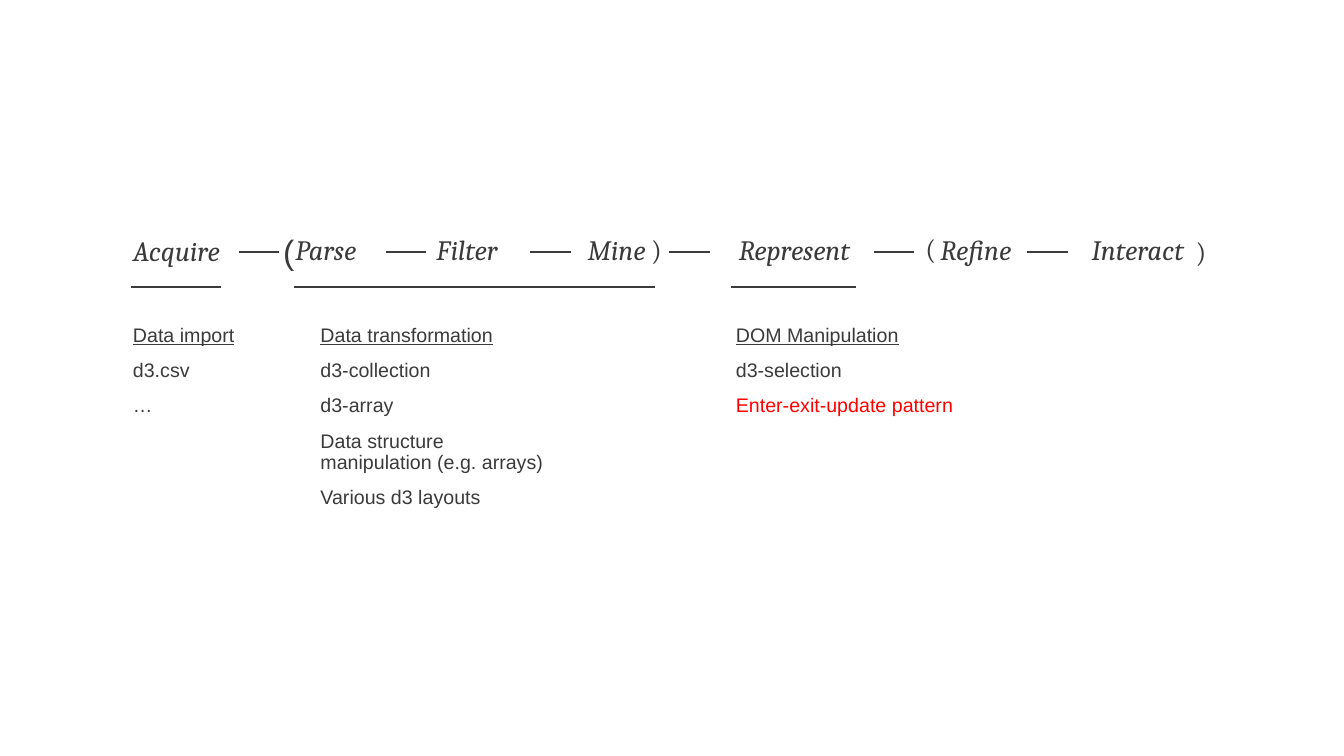
"""Build a slide that maps the data visualisation steps to parts of d3."""
from lxml import etree
from pptx import Presentation
from pptx.dml.color import RGBColor
from pptx.enum.shapes import MSO_CONNECTOR
from pptx.enum.text import MSO_ANCHOR, MSO_AUTO_SIZE, PP_ALIGN
from pptx.oxml.ns import qn
from pptx.util import Inches, Pt

STRAIGHT = MSO_CONNECTOR.STRAIGHT
TOP = MSO_ANCHOR.TOP
NO_FIT = MSO_AUTO_SIZE.NONE
LEFT = PP_ALIGN.LEFT

INK, RULE, RED = "3A3A3A", "3B3B3B", "FF0000"
STEP_TOP, STEP_H = 2.3, 0.44
DASH_Y, DASH_W, UNDERLINE_Y = 2.5, 0.4, 2.85
LIST_TOP, LIST_H = 3.18, 2.66

FIRST_STEP = ("Acquire", 1.22, 1.26)
STEPS = [
    ("Parse", 2.83, 0.91),
    ("Filter", 4.23, 0.91),
    ("Mine", 5.73, 0.91),
    ("Represent", 7.23, 2.06),
    ("Refine", 9.23, 2.06),
    ("Interact", 10.73, 2.06),
]
DASHES = [2.37, 3.83, 5.26, 6.64, 8.67, 10.19]
BRACKETS = [
    ("(", 2.71, 2.32, 24, "Arial", 0.8),
    (")", 6.36, 2.3, 20, "Cambria", 0.9),
    ("(", 9.08, 2.29, 20, "Cambria", 0.9),
    (")", 11.76, 2.32, 20, "Cambria", 0.9),
]
UNDERLINES = [(1.3, 2.19), (2.92, 6.5), (7.25, 8.49)]
LISTS = [
    (1.22, 1.79, "Data import", [("d3.csv", INK), ("…", INK)]),
    (3.08, 2.57, "Data transformation", [
        ("d3-collection", INK),
        ("d3-array", INK),
        ("Data structure manipulation (e.g. arrays)", INK),
        ("Various d3 layouts", INK),
    ]),
    (7.2, 2.49, "DOM Manipulation", [
        ("d3-selection", INK),
        ("Enter-exit-update pattern", RED),
    ]),
]


def rgb(value):
    return RGBColor.from_string(value)


def set_frame(sp):
    tf = sp.text_frame
    tf.word_wrap = True
    tf.auto_size = NO_FIT
    tf.vertical_anchor = TOP
    return tf


def add_box(s, x, y, w, h):
    return s.shapes.add_textbox(Inches(x), Inches(y), Inches(w), Inches(h))


def write(p, text, size, font, color=INK, italic=False, underline=False, spacing=0.9):
    p.alignment = LEFT
    p.line_spacing = spacing
    p.space_before = Pt(10)
    r = p.add_run()
    r.text = text
    r.font.size = Pt(size)
    r.font.name = font
    r.font.italic = italic
    r.font.underline = underline
    r.font.color.rgb = rgb(color)


def write_step(sp, text):
    write(set_frame(sp).paragraphs[0], text, 20, "Cambria", italic=True)


def add_line(s, x1, x2, y):
    line = s.shapes.add_connector(STRAIGHT, Inches(x1), Inches(y), Inches(x2), Inches(y))
    line.line.color.rgb = rgb(RULE)
    line.line.width = Pt(1.5)
    etree.SubElement(line._element.spPr, qn("a:effectLst"))


def add_list(s, x, w, heading, items):
    tf = set_frame(add_box(s, x, LIST_TOP, w, LIST_H))
    write(tf.paragraphs[0], heading, 14, "Arial", underline=True)
    for text, color in items:
        write(tf.add_paragraph(), text, 14, "Arial", color)


def main():
    prs = Presentation()
    prs.slide_width, prs.slide_height = Inches(13.33), Inches(7.5)
    s = prs.slides.add_slide(prs.slide_layouts[0])
    title = s.shapes.title._element
    title.getparent().remove(title)

    text, x, w = FIRST_STEP
    sp = s.placeholders[1]
    sp.left, sp.top = Inches(x), Inches(STEP_TOP)
    sp.width, sp.height = Inches(w), Inches(STEP_H)
    write_step(sp, text)
    for text, x, w in STEPS:
        write_step(add_box(s, x, STEP_TOP, w, STEP_H), text)

    for x in DASHES:
        add_line(s, x, x + DASH_W, DASH_Y)
    for text, x, y, size, font, spacing in BRACKETS:
        tf = set_frame(add_box(s, x, y, 0.41, STEP_H))
        write(tf.paragraphs[0], text, size, font, spacing=spacing)
    for column in LISTS:
        add_list(s, *column)
    for x1, x2 in UNDERLINES:
        add_line(s, x1, x2, UNDERLINE_Y)
    prs.save("out.pptx")


if __name__ == "__main__":
    main()
